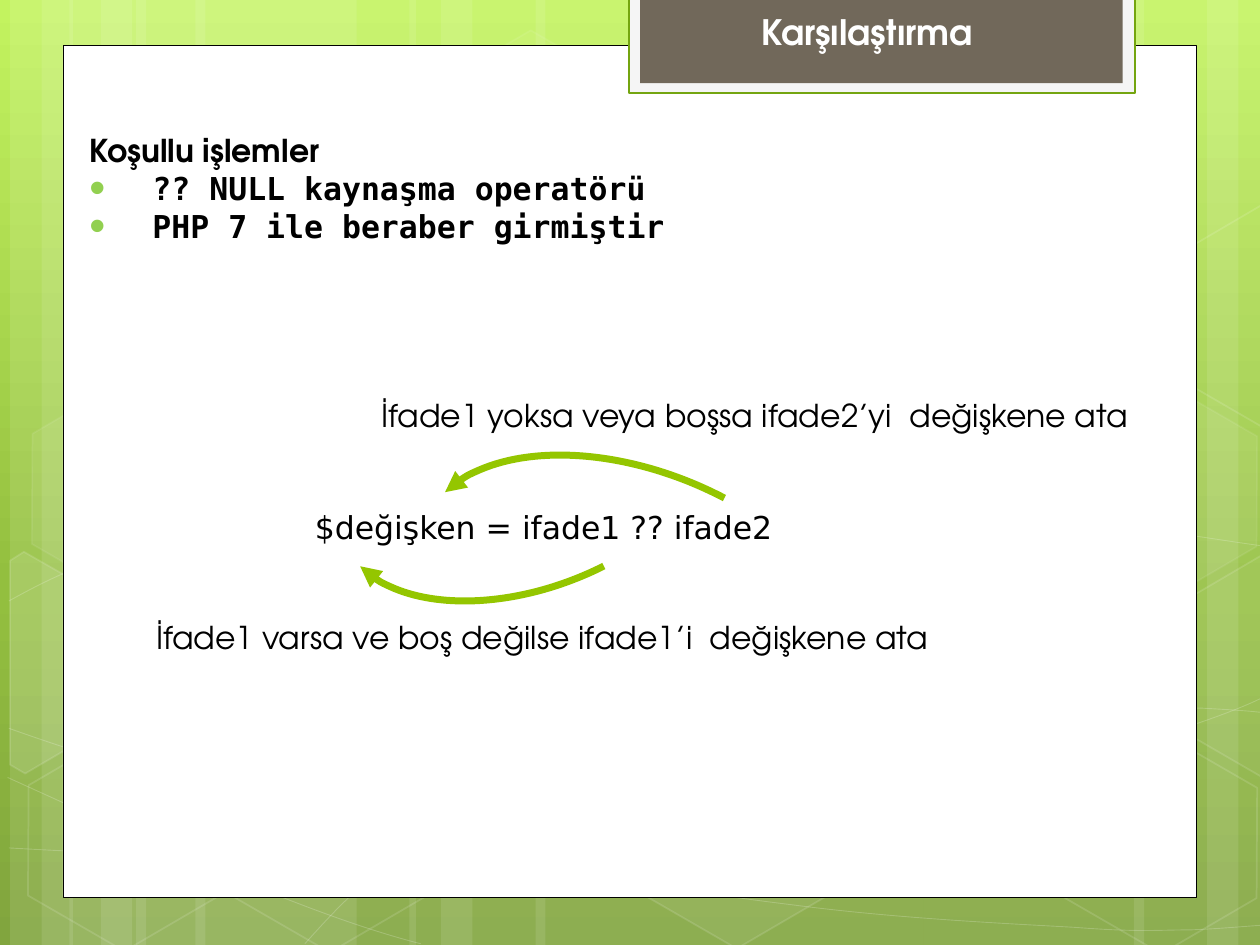
import copy
import lxml.etree
import pptx
import pptx.dml.color
import pptx.enum.shapes
import pptx.enum.text
import pptx.oxml.ns
import pptx.util

SCALE = 9144
PAGE = (0, 0, 1000, 750)
WHITE = "FFFFFF"
BLACK = "000000"
SANS = "TeX Gyre Adventor"
KIND = pptx.enum.shapes.MSO_SHAPE
ALIGN = pptx.enum.text.PP_ALIGN
SKY = [("C3F35F", 0), ("93BF3F", 0.62), ("81A53E", 1)]
BANDS = [(108, 175), (8, 50), (33, 83), (155, 175), (55, 50), (80, 83),
         (733, 175), (958, 50), (900, 83), (425, 308), (325, 50), (350, 83)]
CURVES = [
    [(7, 673), (61, 676), (115, 679), (190, 678), (265, 677), (358, 675),
     (458, 665), (558, 655), (700, 636), (792, 617), (883, 598), (977, 568),
     (1007, 551)],
    [(7, 477), (36, 461), (65, 446), (121, 431), (178, 416), (259, 394),
     (347, 387), (436, 380), (544, 379), (654, 387), (764, 395), (947, 426),
     (1007, 434)],
    [(6, 617), (127, 672), (247, 727), (334, 749)],
    [(7, 578), (38, 589), (70, 600), (128, 616), (186, 631), (273, 656),
     (357, 673), (440, 690), (545, 708), (628, 718), (711, 729), (800, 733),
     (853, 736), (905, 740), (919, 738), (945, 738), (971, 737), (989, 735),
     (1007, 734)],
    [(242, 749), (260, 729), (278, 709), (302, 691), (326, 673), (360, 653),
     (388, 639), (416, 625), (433, 619), (470, 609), (506, 599), (573, 585),
     (608, 578), (644, 571), (649, 571), (680, 569), (711, 566), (760, 563),
     (794, 562), (829, 561), (886, 562), (886, 562), (953, 562), (971, 563),
     (988, 564), (997, 565), (1006, 566), (1003, 565), (1006, 566)],
]
STRAIGHT = (953, 562)
CELLS = [(334, 36, 4, 8), (497, 589, 6, 12), (11, 591, 0, 12), (14, 312, 7, 8),
         (174, 592, 0, 12), (753, 453, 10, 12), (834, 593, 0, 12),
         (834, 314, 7, 8)]
EDGES = [
    ([(8, 445), (19, 438), (96, 482), (95, 570), (20, 614), (8, 607)], 10),
    ([(926, 485), (1001, 441), (1009, 446), (1009, 613), (1002, 617),
      (926, 573)], 4),
    ([(926, 207), (1001, 163), (1010, 168), (1009, 335), (1002, 339),
      (926, 295)], 0),
]


def emu(px):
    return round(px * SCALE)


def tint(color, code, alpha=100):
    color.rgb = pptx.dml.color.RGBColor.from_string(code)
    if alpha < 100:
        node = color._xFill.find(".//" + pptx.oxml.ns.qn("a:srgbClr"))
        add(node, "a:alpha", val=alpha * 1000)


def add(node, tag, **attrs):
    item = lxml.etree.SubElement(node, pptx.oxml.ns.qn(tag))
    for key, value in attrs.items():
        item.set(key, str(value))
    return item


def apply(item, form):
    for key, value in form.items():
        setattr(item, key, value)


def move(item, box, left, top, width, height):
    spots = (box[0] + left, box[1] + top, width, height)
    apply(item, dict(zip(("left", "top", "width", "height"), map(emu, spots))))


def paint(shape, fill=None, line=None):
    shape.shadow.inherit = False
    if fill and fill[1]:
        shape.fill.solid()
        tint(shape.fill.fore_color, *fill)
    else:
        shape.fill.background()
    if line:
        code, width, alpha = line
        shape.line.width = pptx.util.Pt(width)
        shape.line.fill.solid()
        tint(shape.line.fill.fore_color, code, alpha)
    else:
        shape.line.fill.background()


def draw(slide, kind, box, spot, fill=None, line=None):
    shape = slide.shapes.add_shape(kind, 0, 0, 0, 0)
    move(shape, box, *spot)
    paint(shape, fill, line)
    return shape


def trace(slide, box, points, close, fill, line):
    dots = [(emu(box[0] + x), emu(box[1] + y)) for x, y in points]
    pen = slide.shapes.build_freeform(*dots[0])
    pen.add_line_segments(dots[1:], close=close)
    shape = pen.convert_to_shape()
    paint(shape, fill, line)
    return shape


def bend(shape, knots):
    parts = list(shape._element.iter(pptx.oxml.ns.qn("a:lnTo")))
    ends = knots[1:]
    i = 0
    while i < len(parts):
        if ends[i] == STRAIGHT:
            i += 1
            continue
        curve = lxml.etree.Element(pptx.oxml.ns.qn("a:cubicBezTo"))
        parts[i].addprevious(curve)
        for part in parts[i:i + 3]:
            curve.append(part[0])
            part.getparent().remove(part)
        i += 3


def backdrop(slide, box):
    fill = slide.background.fill
    fill.gradient()
    fill.gradient_angle = 270
    first = fill.gradient_stops[0]._gs
    first.addnext(copy.deepcopy(first))
    for stop, (code, place) in zip(fill.gradient_stops, SKY):
        tint(stop.color, code)
        stop.position = place
    for left, width in BANDS:
        draw(slide, KIND.RECTANGLE, box, (left, 0, width, box[3]), (WHITE, 10))
    for knots in CURVES:
        bend(trace(slide, box, knots, False, None, (WHITE, 0.5, 20)), knots)
    for left, top, fill, line in CELLS:
        cell = draw(slide, KIND.HEXAGON, box, (left, top, 175, 152),
                    (WHITE, fill), (WHITE, 1, line))
        cell.rotation = 30
        cell.adjustments[0] = 0.285
        cell.adjustments[1] = 1.155
    for points, fill in EDGES:
        trace(slide, box, points, True, (WHITE, fill), (WHITE, 1, 12))


def panel(slide, box):
    draw(slide, KIND.RECTANGLE, box, (0, 0, *box[2:]), (WHITE, 100), (BLACK, 0.5, 100))


def write(para, text, form, code=BLACK):
    run = para.add_run()
    run.text = text
    apply(run.font, form)
    tint(run.font.color, code)


def setup(frame, wrap):
    apply(frame, {"word_wrap": wrap,
                  "auto_size": pptx.enum.text.MSO_AUTO_SIZE.SHAPE_TO_FIT_TEXT,
                  "vertical_anchor": pptx.enum.text.MSO_ANCHOR.TOP})


def banner(slide, box):
    draw(slide, KIND.RECTANGLE, box, (0, 0, *box[2:]), ("F5F5F5", 100), ("74A510", 1.25, 100))
    draw(slide, KIND.RECTANGLE, box, (9, 0, 383, 68), ("71685A", 100))
    title = slide.shapes.title
    slide.shapes._spTree.append(title._element)
    move(title, box, 95, 5, 190, 44)
    setup(title.text_frame, False)
    para = title.text_frame.paragraphs[0]
    para.alignment = ALIGN.LEFT
    form = {"name": SANS, "size": pptx.util.Pt(20), "bold": True}
    write(para, "Karşılaştırma", form, WHITE)


def outline(slide, box):
    body = slide.placeholders[1]
    slide.shapes._spTree.append(body._element)
    move(body, box, 0, 0, *box[2:])
    frame = body.text_frame
    setup(frame, True)
    rows = ["Koşullu işlemler", "?? NULL kaynaşma operatörü",
            "PHP 7 ile beraber girmiştir"]
    for i, text in enumerate(rows):
        para = frame.add_paragraph() if i else frame.paragraphs[0]
        apply(para, {"space_before": pptx.util.Pt(0), "alignment": ALIGN.LEFT})
        props = para._p.get_or_add_pPr()
        props.set("marL", str(emu(50) if i else 0))
        props.set("indent", str(emu(-50) if i else 0))
        if i:
            add(add(props, "a:buClr"), "a:srgbClr", val="92D050")
            add(props, "a:buSzPct", val=145000)
            add(props, "a:buFont", typeface="Arial")
            add(props, "a:buChar", char="•")
        else:
            add(props, "a:buNone")
        write(para, text, {"name": "DejaVu Sans Mono" if i else SANS,
                           "size": pptx.util.Pt(18), "bold": True})


def label(slide, box, spot, text, font=SANS):
    item = slide.shapes.add_textbox(0, 0, 0, 0)
    move(item, box, *spot)
    setup(item.text_frame, False)
    write(item.text_frame.paragraphs[0], text, {"name": font, "size": pptx.util.Pt(18)})


def arrow(slide, box, spot, turn, flip=False):
    arc = draw(slide, KIND.ARC, box, spot, None, ("94C600", 4, 100))
    arc.rotation = turn
    arc.adjustments[0] = 153.27
    arc.adjustments[1] = 210.7
    if flip:
        arc._element.spPr.xfrm.set("flipV", "1")
    add(arc.line._get_or_add_ln(), "a:tailEnd", type="triangle")


def diagram(slide, box):
    label(slide, box, (126, 89, 389, 40), "$değişken = ifade1 ?? ifade2", "DejaVu Sans")
    arrow(slide, box, (147, -35, 321, 192), 158.5)
    arrow(slide, box, (209, 66, 369, 219), 202.5, True)
    label(slide, box, (0, 177, 644, 40), "İfade1 varsa ve boş değilse ifade1’i  değişkene ata")
    label(slide, box, (179, 0, 624, 40), "İfade1 yoksa veya boşsa ifade2’yi  değişkene ata")


def main():
    deck = pptx.Presentation()
    apply(deck, {"slide_width": emu(PAGE[2]), "slide_height": emu(PAGE[3])})
    slide = deck.slides.add_slide(deck.slide_layouts[1])
    backdrop(slide, PAGE)
    panel(slide, (50, 36, 900, 676))
    banner(slide, (499, -2, 402, 76))
    outline(slide, (61, 99, 863, 101))
    diagram(slide, (114, 309, 803, 217))
    deck.save("out.pptx")


if __name__ == "__main__":
    main()
